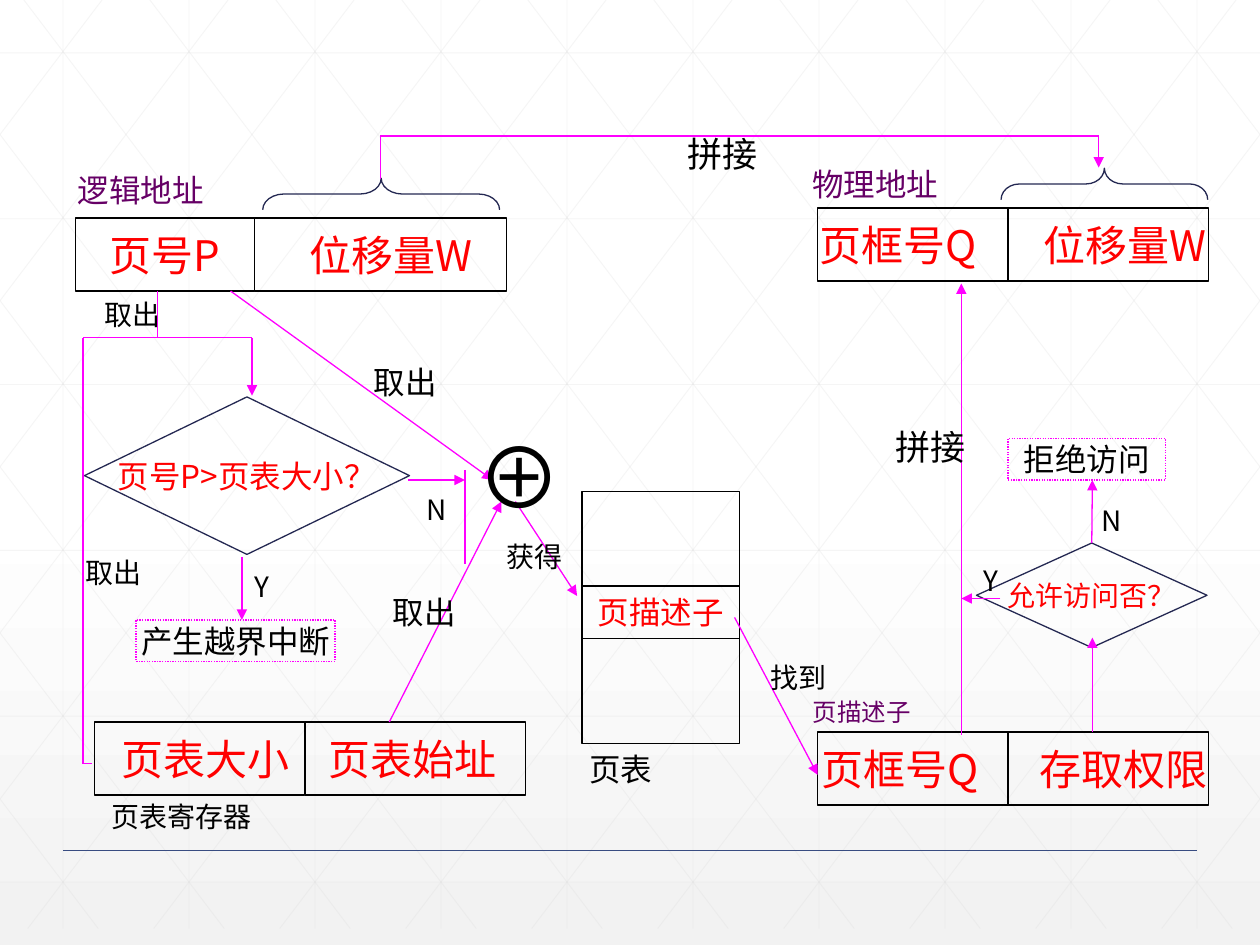
"""Build a slide showing how a paged logical address is translated to a physical one."""
from itertools import pairwise

from lxml.etree import SubElement
from pptx import Presentation
from pptx.dml.color import RGBColor
from pptx.enum.dml import MSO_LINE as Dash
from pptx.enum.shapes import MSO_CONNECTOR as Link, MSO_SHAPE as Shape
from pptx.enum.text import MSO_ANCHOR as Anchor, MSO_AUTO_SIZE as AutoSize, PP_ALIGN as Align
from pptx.oxml.ns import qn
from pptx.util import Inches, Pt

THEME = {
    "font": "Noto Sans CJK SC",
    "ink": "000000", "key": "FF0000", "heading": "660066",
    "flow": "FF00FF", "outline": "242852", "grid": "D9D9D9", "footer": "384C81",
    "field": 24, "splice": 20, "body": 18, "small": 16, "caption": 14, "adder": 48,
    "rule": 0.75, "grid rule": 0.5, "footer rule": 1,
}
WIDTH, HEIGHT = 10, 7.5
GRID_BOTTOM, GRID_RUN = 7.37, 5.59
FIELD_HEIGHT = 0.58

RECORDS = [
    (1.73, [("页号P", 0.6, 2.02, 0), ("位移量W", 2.02, 4.02, 0.08)]),
    (5.73, [("页表大小", 0.75, 2.42, 0.05), ("页表始址", 2.42, 4.17, -0.02)]),
    (1.65, [("页框号Q", 6.49, 8, -0.12), ("位移量W", 8, 9.59, 0.13)]),
    (5.81, [("页框号Q", 6.49, 8, -0.1), ("存取权限", 8, 9.59, 0.12)]),
]
PAGE_TABLE = [("", 3.9, 2), ("页描述子", 4.65, 0.42)]
DECISIONS = [
    ("页号P>页表大小？", (0.67, 3.15, 2.58, 1.25), "body"),
    ("允许访问否？", (7.75, 4.31, 1.83, 0.83), "small"),
]
OUTCOMES = [
    ("产生越界中断", (1.08, 4.92, 1.58, 0.33)),
    ("拒绝访问", (8, 3.48, 1.25, 0.33)),
]
BRACES = [((2.9, 0.6, 0.25, 1.88), 0.67), ((8.64, 0.64, 0.25, 1.64), 0.58)]
LABELS = [
    ("物理地址", (6.35, 1.26, 1.2, 0.4), "body", "heading"),
    ("逻辑地址", (0.52, 1.31, 1.5, 0.4), "body", "heading"),
    ("页描述子", (6.35, 5.48, 0.98, 0.33), "caption", "heading"),
    ("页表寄存器", (0.79, 6.3, 1.36, 0.37), "small", "ink"),
    ("页表", (4.58, 5.9, 0.7, 0.4), "body", "ink"),
    ("Y", (1.92, 4.47, 0.33, 0.37), "small", "ink"),
    ("Y", (7.71, 4.42, 0.34, 0.37), "small", "ink"),
    ("N", (8.64, 3.95, 0.38, 0.37), "small", "ink"),
    ("N", (3.29, 3.86, 0.38, 0.37), "small", "ink"),
    ("取出", (0.58, 4.36, 0.65, 0.37), "small", "ink"),
    ("取出", (0.73, 2.31, 0.65, 0.37), "small", "ink"),
    ("取出", (2.87, 2.83, 0.7, 0.4), "body", "ink"),
    ("取出", (3.02, 4.66, 0.7, 0.4), "body", "ink"),
    ("获得", (3.92, 4.23, 0.65, 0.37), "small", "ink"),
    ("找到", (6.02, 5.19, 0.65, 0.37), "small", "ink"),
    ("拼接", (5.36, 1, 0.76, 0.43), "splice", "ink"),
    ("拼接", (7.01, 3.33, 0.76, 0.43), "splice", "ink"),
    ("⊕", (3.69, 3.33, 0.81, 0.9), "adder", "ink"),
]
PLAIN_ROUTES = [
    [(1.25, 2.31), (1.25, 2.68)],
    [(3.69, 3.73), (3.69, 4.48)],
]
ARROW_ROUTES = [
    [(0.73, 6.06), (0.66, 6.06), (0.66, 2.68), (2, 2.68), (2, 3.14)],
    [(3.02, 1.42), (3.02, 1.08), (8.72, 1.08), (8.72, 1.33)],
    [(1.92, 4.42), (1.92, 4.92)],
    [(4.09, 3.98), (4.58, 4.73)],
    [(5.83, 4.9), (6.49, 6.15)],
    [(7.63, 5.83), (7.63, 2.25)],
    [(7.94, 4.75), (7.63, 4.75)],
    [(8.67, 5.81), (8.67, 5.06)],
    [(1.83, 2.31), (3.91, 3.81)],
    [(3.09, 5.73), (3.98, 3.98)],
    [(3.24, 3.81), (3.69, 3.81)],
]
REFUSAL = [(8.67, 4.31), (8.67, 3.81)]


def color(name):
    return RGBColor.from_string(THEME[name])


def style_line(line, tint, rule="rule", dash=None):
    line.color.rgb = color(tint)
    for name, value in {"width": Pt(THEME[rule]), "dash_style": dash}.items():
        setattr(line, name, value)


def add_line(slide, start, end, tint="flow", rule="rule", arrow=False, alpha=None):
    ends = [Inches(value) for value in (*start, *end)]
    connector = slide.shapes.add_connector(Link.STRAIGHT, *ends)
    style_line(connector.line, tint, rule)
    properties = connector.element.spPr
    outline = properties.find(qn("a:ln"))
    if arrow:
        SubElement(outline, qn("a:tailEnd"), type="triangle")
    if alpha:
        SubElement(outline.find(".//" + qn("a:srgbClr")), qn("a:alpha"), val=str(alpha * 1000))
    SubElement(properties, qn("a:effectLst"))
    return connector


def write(frame, text, size, tint, align=Align.LEFT, **frame_format):
    for name, value in {"word_wrap": False, **frame_format}.items():
        setattr(frame, name, value)
    paragraph = frame.paragraphs[0]
    paragraph.alignment = align
    run = paragraph.add_run()
    run.text = text
    for name, value in {"size": Pt(THEME[size]), "name": THEME["font"]}.items():
        setattr(run.font, name, value)
    run.font.color.rgb = color(tint)
    SubElement(run.font._element, qn("a:ea"), typeface=THEME["font"])


def add_figure(slide, kind, place, tint="ink", dash=None):
    figure = slide.shapes.add_shape(kind, *map(Inches, place))
    figure.shadow.inherit = False
    figure.fill.background()
    style_line(figure.line, tint, dash=dash)
    return figure


def add_box(slide, kind, place, text, size, tint="key", nudge=0, **line_format):
    box = add_figure(slide, kind, place, **line_format)
    if text:
        write(box.text_frame, text, size, tint, Align.CENTER, vertical_anchor=Anchor.MIDDLE,
              margin_left=Inches(max(0, 2 * nudge)), margin_right=Inches(max(0, -2 * nudge)))
    return box


def draw_backdrop(slide):
    fill = slide.background.fill
    fill.gradient()
    fill.gradient_angle = 270
    for stop, (position, tint) in zip(fill.gradient_stops, [(0.53, "FFFFFF"), (1, "F2F2F2")]):
        stop.position = position
        stop.color.rgb = RGBColor.from_string(tint)

    grid = [((0.5 + i, 0), (0.5 + i, GRID_BOTTOM)) for i in range(10)]
    grid += [((0, 0.42 + 1.316 * i), (WIDTH, 0.42 + 1.316 * i)) for i in range(6)]
    slope = GRID_BOTTOM / GRID_RUN
    for i in range(-5, 10):
        top = 0.19 + i
        left, right = max(0, top), min(WIDTH, top + GRID_RUN)
        y_left, y_right = (left - top) * slope, (right - top) * slope
        grid.append(((left, y_left), (right, y_right)))
        grid.append(((WIDTH - left, y_left), (WIDTH - right, y_right)))
    for start, end in grid:
        add_line(slide, start, end, "grid", "grid rule", alpha=25)
    add_line(slide, (0.5, 6.75), (9.5, 6.75), "footer", "footer rule")


def main():
    deck = Presentation()
    deck.slide_width, deck.slide_height = Inches(WIDTH), Inches(HEIGHT)
    slide = deck.slides.add_slide(deck.slide_layouts[6])
    draw_backdrop(slide)

    for top, fields in RECORDS:
        for text, left, right, nudge in fields:
            place = (left, top, right - left, FIELD_HEIGHT)
            add_box(slide, Shape.RECTANGLE, place, text, "field", nudge=nudge)
    for text, top, height in PAGE_TABLE:
        add_box(slide, Shape.RECTANGLE, (4.62, top, 1.25, height), text, "body")
    decisions = [add_box(slide, Shape.DIAMOND, place, text, size, tint="key")
                 for text, place, size in DECISIONS]
    for decision in decisions:
        style_line(decision.line, "outline")
    for text, place in OUTCOMES:
        outcome = add_box(slide, Shape.RECTANGLE, place, text, "body", "ink")
        style_line(outcome.line, "flow", dash=Dash.ROUND_DOT)
    for place, curl in BRACES:
        brace = add_figure(slide, Shape.LEFT_BRACE, place, "outline")
        brace.rotation = 90
        brace.adjustments[0] = curl

    for routes, arrow in ((PLAIN_ROUTES, False), (ARROW_ROUTES, True)):
        for route in routes:
            for start, end in pairwise(route):
                add_line(slide, start, end, arrow=arrow and end == route[-1])
    add_line(slide, *REFUSAL, arrow=True).begin_connect(decisions[1], 0)

    for text, place, size, tint in LABELS:
        label = slide.shapes.add_textbox(*map(Inches, place))
        write(label.text_frame, text, size, tint, auto_size=AutoSize.SHAPE_TO_FIT_TEXT)
    deck.save("out.pptx")


if __name__ == "__main__":
    main()
